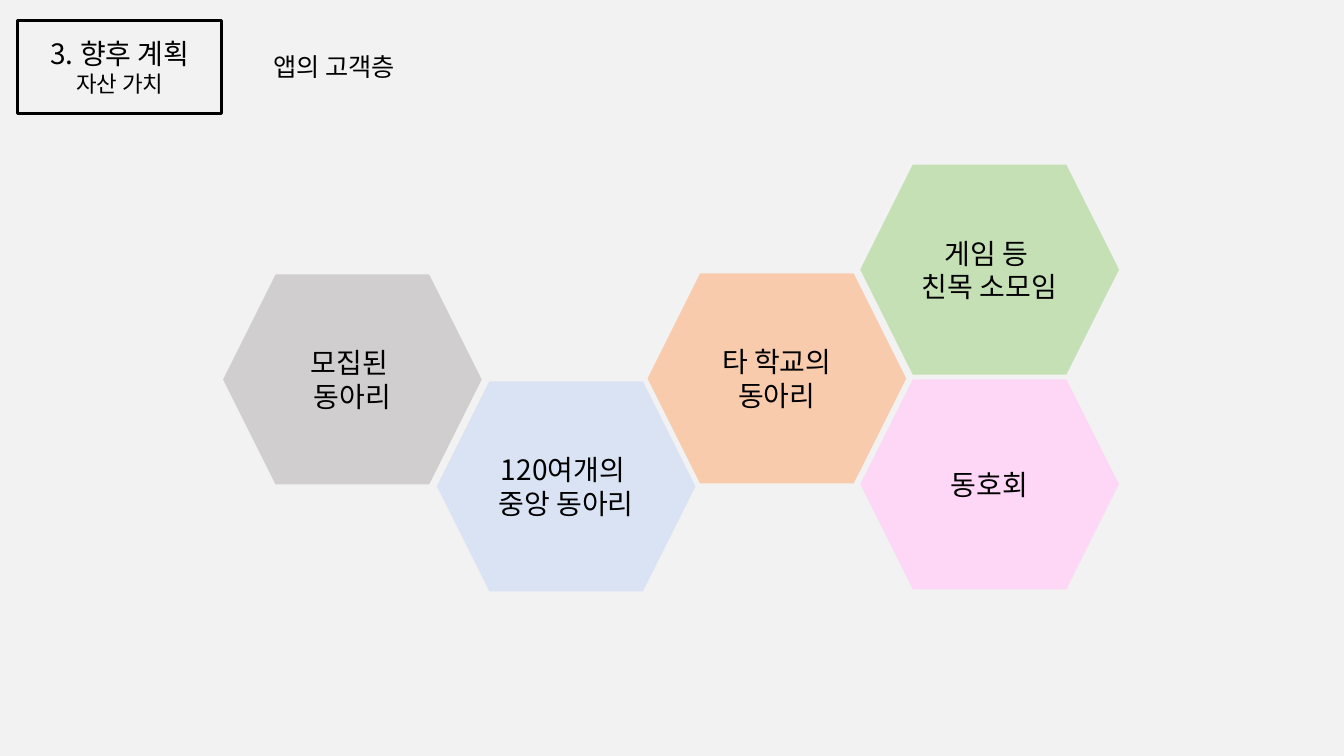
from lxml import etree
from pptx import Presentation
from pptx.dml.color import RGBColor
from pptx.enum import shapes, text
from pptx.oxml.ns import qn
from pptx.util import Inches, Pt

FONT = "Noto Sans CJK KR"
BLACK = RGBColor(0x00, 0x00, 0x00)
BACKGROUND = RGBColor(0xF2, 0xF2, 0xF2)
GRAY = RGBColor(0xD0, 0xCE, 0xCE)
BLUE = RGBColor(0xDA, 0xE3, 0xF3)
ORANGE = RGBColor(0xF8, 0xCB, 0xAD)
PINK = RGBColor(0xFD, 0xD7, 0xF5)
GREEN = RGBColor(0xC5, 0xE0, 0xB4)

HEXAGON_WIDTH, HEXAGON_HEIGHT = 2.55, 2.07
CUSTOMER_GROUPS = [
    (2.22, 2.73, GRAY, ["모집된 ", "동아리"]),
    (4.34, 3.79, BLUE, ["120여개의 ", "중앙 동아리"]),
    (6.43, 2.72, ORANGE, ["타 학교의", "동아리"]),
    (8.54, 3.77, PINK, ["동호회"]),
    (8.54, 1.64, GREEN, ["게임 등 ", "친목 소모임"]),
]


def write_lines(shape, lines, sizes, alignment, anchor):
    """Fill a shape with one paragraph per line, in the slide's Korean font."""
    frame = shape.text_frame
    frame.word_wrap = True
    frame.vertical_anchor = anchor
    frame.text = "\n".join(lines)
    for paragraph, size in zip(frame.paragraphs, sizes):
        paragraph.alignment = alignment
        font = paragraph.font
        font.size = Pt(size)
        font.name = FONT
        font.color.rgb = BLACK
        # Korean letters take the East Asian typeface
        properties = paragraph._p.pPr.find(qn("a:defRPr"))
        etree.SubElement(properties, qn("a:ea"), typeface=FONT)


presentation = Presentation()
presentation.slide_width = Inches(13.33)
presentation.slide_height = Inches(7.5)
slide = presentation.slides.add_slide(presentation.slide_layouts[6])
slide.background.fill.solid()
slide.background.fill.fore_color.rgb = BACKGROUND

# Section title in its frame
title = slide.shapes.add_textbox(Inches(0.23), Inches(0.31), Inches(1.92), Inches(0.71))
write_lines(title, ["3. 향후 계획", "자산 가치"], [20, 16],
            text.PP_ALIGN.CENTER, text.MSO_ANCHOR.MIDDLE)

title_frame = slide.shapes.add_shape(
    shapes.MSO_SHAPE.RECTANGLE, Inches(0.17), Inches(0.2), Inches(2.03), Inches(0.93))
title_frame.shadow.inherit = False
title_frame.fill.background()
title_frame.line.color.rgb = BLACK
title_frame.line.width = Pt(2)

# Customer groups
for left, top, color, lines in CUSTOMER_GROUPS:
    hexagon = slide.shapes.add_shape(
        shapes.MSO_SHAPE.HEXAGON, Inches(left), Inches(top),
        Inches(HEXAGON_WIDTH), Inches(HEXAGON_HEIGHT))
    hexagon.shadow.inherit = False
    hexagon.fill.solid()
    hexagon.fill.fore_color.rgb = color
    hexagon.line.color.rgb = color
    hexagon.line.width = Pt(1)
    write_lines(hexagon, lines, [20] * len(lines),
                text.PP_ALIGN.CENTER, text.MSO_ANCHOR.MIDDLE)

subtitle = slide.shapes.add_textbox(Inches(2.61), Inches(0.46), Inches(4.15), Inches(0.4))
write_lines(subtitle, ["앱의 고객층"], [18], text.PP_ALIGN.LEFT, text.MSO_ANCHOR.TOP)

presentation.save("out.pptx")
